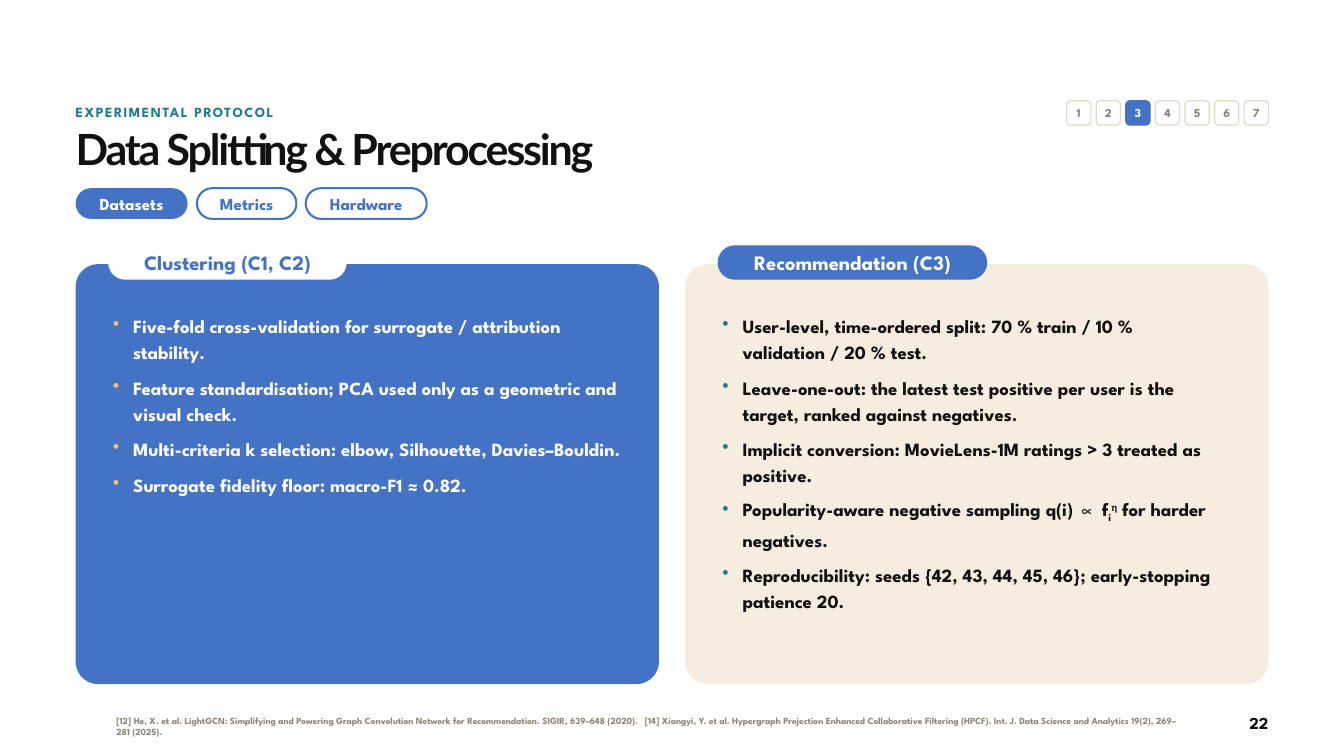
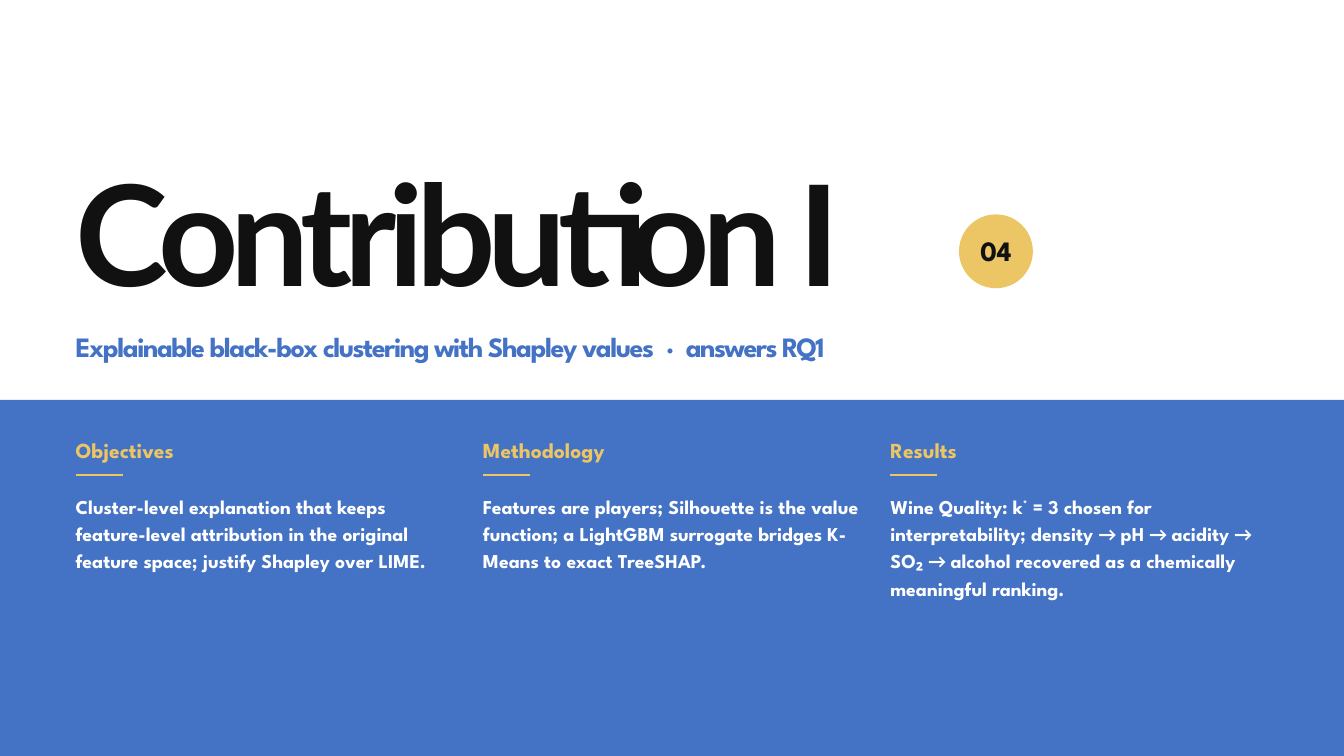
from lxml.etree import SubElement
from pptx import Presentation
from pptx.dml.color import RGBColor
from pptx.enum.shapes import MSO_CONNECTOR, MSO_SHAPE as SHAPE
from pptx.enum.text import MSO_ANCHOR as ANCHOR, MSO_AUTO_SIZE, PP_ALIGN as ALIGN
from pptx.oxml.ns import qn
from pptx.util import Pt

# Shared colours
BLUE = RGBColor(0x44, 0x72, 0xC4)
GOLD = RGBColor(0xEC, 0xC6, 0x65)
TEAL = RGBColor(0x1F, 0x7A, 0x8C)
CREAM = RGBColor(0xF6, 0xEC, 0xDF)
SAND = RGBColor(0xE3, 0xD6, 0xC4)
GREY = RGBColor(0x8A, 0x83, 0x78)
INK = RGBColor(0x11, 0x11, 0x11)
WHITE = RGBColor(0xFF, 0xFF, 0xFF)

# Shared fonts and page grid, in points
BODY_FONT, TITLE_FONT, SYMBOL_FONT = "League Spartan", "Lato", "Calibri"
PAGE_W, PAGE_H = 1440, 810
LEFT, RIGHT = 81, 1359
CONTENT_W = RIGHT - LEFT


def add_run(paragraph, text, font=None, baseline=None, tracking=None):
    """Add a run; baseline is in percent, tracking in points."""
    run = paragraph.add_run()
    run.text = text
    if font:
        run.font.name = font
    properties = run._r.get_or_add_rPr()
    if baseline:
        properties.set("baseline", str(baseline * 1000))
    if tracking:
        properties.set("spc", str(round(tracking * 100)))


def add_bullet(paragraph, color, indent=21.6):
    properties = paragraph._p.get_or_add_pPr()
    properties.set("marL", str(Pt(indent)))
    properties.set("indent", str(-Pt(indent)))
    bullet_color = SubElement(properties, qn("a:buClr"))
    SubElement(bullet_color, qn("a:srgbClr"), val=str(color))
    SubElement(properties, qn("a:buChar"), char="•")


def write(paragraph, content, size, color, leading, font=BODY_FONT,
          align=ALIGN.LEFT, tracking=0, bullet=None):
    """Fill a paragraph with a string, or with a list of run arguments."""
    for run in [(content,)] if isinstance(content, str) else content:
        add_run(paragraph, *run)
    if bullet:
        add_bullet(paragraph, bullet)
    paragraph.alignment = align
    paragraph.line_spacing = Pt(leading)
    style = paragraph.font
    style.name, style.size, style.bold = font, Pt(size), True
    style.color.rgb = color
    if tracking:
        defaults = paragraph._p.pPr.find(qn("a:defRPr"))
        defaults.set("spc", str(round(tracking * 100)))


def prepare_frame(frame, anchor=ANCHOR.TOP, side=0):
    frame.word_wrap = True
    frame.auto_size = MSO_AUTO_SIZE.NONE
    frame.vertical_anchor = anchor
    frame.margin_left = frame.margin_right = Pt(side)
    frame.margin_top = frame.margin_bottom = 0
    return frame


def add_text(slide, box, content, size, color, leading, anchor=ANCHOR.TOP, **style):
    frame = prepare_frame(slide.shapes.add_textbox(*map(Pt, box)).text_frame, anchor)
    write(frame.paragraphs[0], content, size, color, leading, **style)


def add_title(slide, box, text, size, leading, tracking):
    title = slide.shapes.title
    title.left, title.top, title.width, title.height = map(Pt, box)
    write(prepare_frame(title.text_frame).paragraphs[0], text, size, INK, leading,
          font=TITLE_FONT, tracking=tracking)


def add_block(slide, kind, box, fill=None, line=None, line_width=2.25, corner=None):
    block = slide.shapes.add_shape(kind, *map(Pt, box))
    block.shadow.inherit = False
    if corner is not None:
        block.adjustments[0] = corner
    if fill is None:
        block.fill.background()
    else:
        block.fill.solid()
        block.fill.fore_color.rgb = fill
    if line is None:
        block.line.fill.background()
    else:
        block.line.color.rgb = line
        block.line.width = Pt(line_width)
    return block


def label(block, text, size, color, leading, side=0):
    frame = prepare_frame(block.text_frame, ANCHOR.MIDDLE, side)
    write(frame.paragraphs[0], text, size, color, leading, align=ALIGN.CENTER)


def add_pill(slide, box, text, size, color, fill=None, line=None):
    pill = add_block(slide, SHAPE.ROUNDED_RECTANGLE, box, fill, line, corner=0.5)
    label(pill, text, size, color, size * 1.2, side=3.6)


def add_section_tracker(slide, current, count=7, side=26, step=31.7):
    first = RIGHT - side - (count - 1) * step
    for number in range(1, count + 1):
        active = number == current
        chip = add_block(slide, SHAPE.ROUNDED_RECTANGLE,
                         (first + (number - 1) * step, 108, side, side),
                         BLUE if active else WHITE, BLUE if active else SAND,
                         1.25, corner=0.167)
        label(chip, str(number), 13, WHITE if active else GREY, 15)


def add_topic_pills(slide, topics, gap=10):
    """The first topic is the current one and is filled."""
    left = LEFT
    for index, (topic, width) in enumerate(topics):
        box = (left, 201.6, width, 33)
        if index == 0:
            add_pill(slide, box, topic, 18, WHITE, fill=BLUE)
        else:
            add_pill(slide, box, topic, 18, BLUE, line=BLUE)
        left += width + gap


def add_card(slide, left, width, heading, heading_width, points,
             fill, tab_fill, tab_color, text_color, bullet):
    add_block(slide, SHAPE.ROUNDED_RECTANGLE, (left, 283, width, 450), fill, corner=0.054)
    add_pill(slide, (left + 36, 264, heading_width, 34.6), heading, 22, tab_color,
             fill=tab_fill, line=tab_fill)
    body = slide.shapes.add_textbox(Pt(left + 40), Pt(333.2), Pt(width - 76), Pt(378))
    frame = prepare_frame(body.text_frame)
    for index, point in enumerate(points):
        paragraph = frame.add_paragraph() if index else frame.paragraphs[0]
        leading = 28 if isinstance(point, str) else 29.6  # room for sub- and superscripts
        write(paragraph, point, 20, text_color, leading, bullet=bullet)
        if index:
            paragraph.space_before = Pt(10)


def add_footer(slide, references, page):
    add_text(slide, (124.6, 756, 1141, 44.6), references, 10, GREY, 12, anchor=ANCHOR.MIDDLE)
    add_text(slide, (RIGHT - 86, 763, 86, 26), page, 18, INK, 22, align=ALIGN.RIGHT)


def add_summary(slide, left, width, heading, text):
    add_text(slide, (left, 468, width, 36), heading, 23, GOLD, 28)
    rule = slide.shapes.add_connector(MSO_CONNECTOR.STRAIGHT,
                                      Pt(left), Pt(509), Pt(left + 50.4), Pt(509))
    rule.line.color.rgb = GOLD
    rule.line.width = Pt(2.5)
    SubElement(rule._element.spPr, qn("a:effectLst"))
    add_text(slide, (left, 525.6, width, 245), text, 21, WHITE, 29.4)


def build_protocol(slide):
    add_footer(slide, [
        ("[12] He, X. et al. LightGCN: Simplifying and Powering Graph Convolution Network "
         "for Recommendation. SIGIR, 639–648 (2020).",),
        (" ", None, None, 5),
        ("[14] Xiangyi, Y. et al. Hypergraph Projection Enhanced Collaborative Filtering "
         "(HPCF). Int. J. Data Science and Analytics 19(2), 269–281 (2025).",),
    ], "22")
    add_text(slide, (LEFT, 109.4, 1019, 26), "EXPERIMENTAL PROTOCOL", 15, TEAL, 20, tracking=1.6)
    add_section_tracker(slide, current=3)
    add_title(slide, (LEFT, 135.4, CONTENT_W, 57.6), "Data Splitting & Preprocessing",
              46, 50.6, -2.3)
    add_topic_pills(slide, [("Datasets", 120), ("Metrics", 106.6), ("Hardware", 129.6)])

    # Two cards side by side
    card_w = 625
    add_card(slide, LEFT, card_w, "Clustering (C1, C2)", 253.4, [
        "Five-fold cross-validation for surrogate / attribution stability.",
        "Feature standardisation; PCA used only as a geometric and visual check.",
        "Multi-criteria k selection: elbow, Silhouette, Davies–Bouldin.",
        "Surrogate fidelity floor: macro-F1 ≈ 0.82.",
    ], fill=BLUE, tab_fill=WHITE, tab_color=BLUE, text_color=WHITE, bullet=GOLD)
    add_card(slide, RIGHT - card_w, card_w, "Recommendation (C3)", 286.6, [
        "User-level, time-ordered split: 70 % train / 10 % validation / 20 % test.",
        "Leave-one-out: the latest test positive per user is the target, ranked against negatives.",
        "Implicit conversion: MovieLens-1M ratings > 3 treated as positive.",
        [("Popularity-aware negative sampling q(i) ",), ("∝ ", "Times New Roman"), ("f",),
         ("i", None, -25), ("η", SYMBOL_FONT, 30), (" for harder negatives.",)],
        "Reproducibility: seeds {42, 43, 44, 45, 46}; early-stopping patience 20.",
    ], fill=CREAM, tab_fill=BLUE, tab_color=WHITE, text_color=INK, bullet=TEAL)


def build_contribution(slide):
    add_title(slide, (LEFT, 183.6, 1170, 180), "Contribution I", 150, 153, -8.7)
    badge = add_block(slide, SHAPE.OVAL, (1027.5, 229.7, 79.2, 79.2), GOLD)
    label(badge, "04", 30, INK, 34)
    wide_space = (" ", None, None, 4.5)
    add_text(slide, (LEFT, 351.4, CONTENT_W, 50.4), [
        ("Explainable black-box clustering with Shapley values",), wide_space,
        ("·",), wide_space, ("answers RQ1",),
    ], 30, BLUE, 38, tracking=-1.5)

    # Summary band in three columns
    band_top = 428.5
    add_block(slide, SHAPE.RECTANGLE, (0, band_top, PAGE_W, PAGE_H - band_top), BLUE)
    arrow = ("→ ", SYMBOL_FONT)
    summaries = [
        ("Objectives", "Cluster-level explanation that keeps feature-level attribution in "
                       "the original feature space; justify Shapley over LIME."),
        ("Methodology", "Features are players; Silhouette is the value function; a LightGBM "
                        "surrogate bridges K-Means to exact TreeSHAP."),
        ("Results", [("Wine Quality: k",), ("*", None, 30),
                     (" = 3 chosen for interpretability; density ",), arrow, ("pH ",), arrow,
                     ("acidity ",), arrow, ("SO₂ ",), arrow,
                     ("alcohol recovered as a chemically meaningful ranking.",)]),
    ]
    column_w = 405
    step = (CONTENT_W - column_w) / (len(summaries) - 1)
    for index, (heading, text) in enumerate(summaries):
        add_summary(slide, LEFT + index * step, column_w, heading, text)


def main():
    deck = Presentation()
    deck.slide_width, deck.slide_height = Pt(PAGE_W), Pt(PAGE_H)
    title_only = deck.slide_layouts[5]
    for build in (build_protocol, build_contribution):
        build(deck.slides.add_slide(title_only))
    deck.save("out.pptx")


if __name__ == "__main__":
    main()
